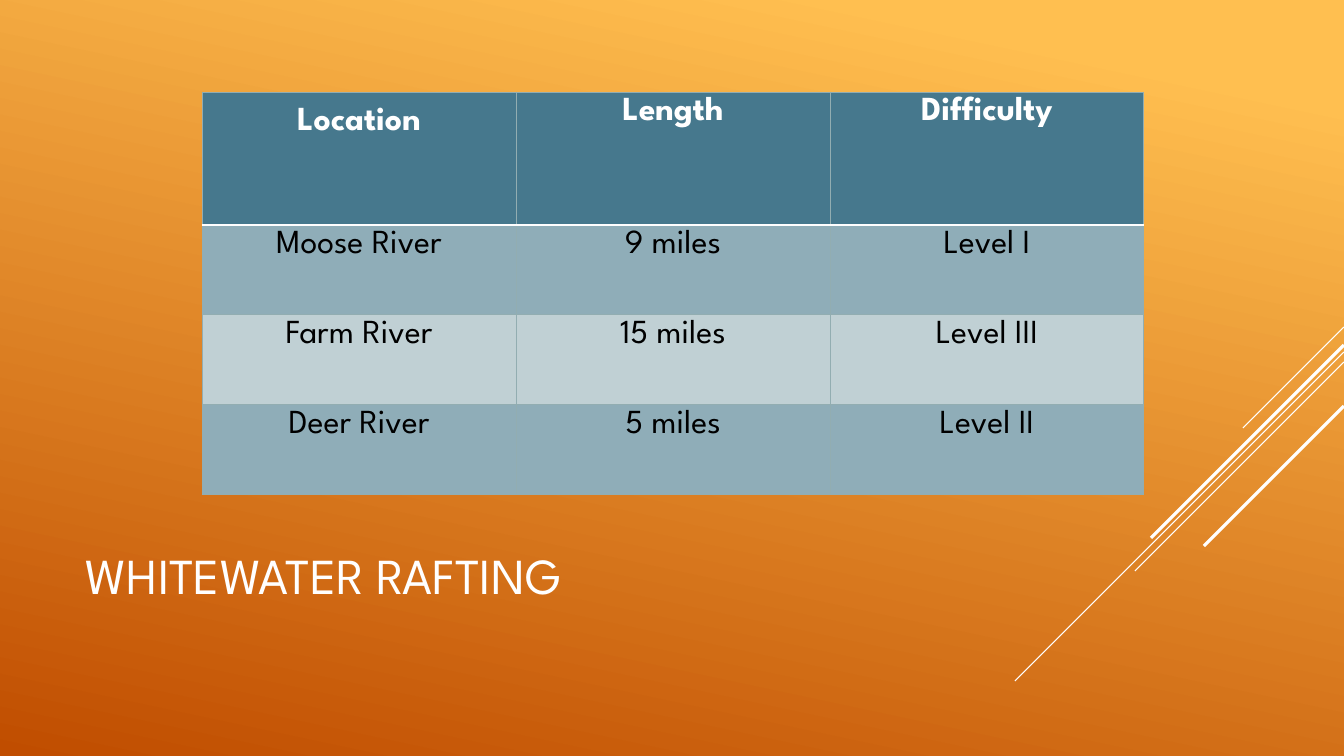
"""Build the whitewater rafting slide."""
from lxml import etree
from pptx import Presentation
from pptx.dml.color import RGBColor
from pptx.enum.shapes import MSO_CONNECTOR
from pptx.enum.text import MSO_ANCHOR as Anchor, PP_ALIGN as Align
from pptx.oxml.ns import qn
from pptx.util import Emu, Pt

TITLE = "WHITEWATER RAFTING"
TRIPS = [
    ("Location", "Length", "Difficulty"),
    ("Moose River", "9 miles", "Level I"),
    ("Farm River", "15 miles", "Level III"),
    ("Deer River", "5 miles", "Level II"),
]
DIAGONALS = [(327, 101, 0.75), (352, 329, 0.75), (362, 209, 0.75),
             (345, 193, 2.25), (406, 140, 2.25)]

FONT = "League Spartan"
WHITE = RGBColor(0xFF, 0xFF, 0xFF)
BLACK = RGBColor(0x00, 0x00, 0x00)
AMBER = RGBColor(0xFF, 0xBF, 0x50)
RUST = RGBColor(0xC0, 0x4D, 0x00)
TEAL = RGBColor(0x46, 0x78, 0x8D)
DARK_BAND = RGBColor(0x8F, 0xAD, 0xB8)
LIGHT_BAND = RGBColor(0xC0, 0xD0, 0xD4)
GRID = RGBColor(0x92, 0xAD, 0xB1)

SLIDE_WIDTH, SLIDE_HEIGHT = 1344, 756
TABLE_LEFT, TABLE_TOP = 202, 92
COLUMN_WIDTH, HEADER_HEIGHT, ROW_HEIGHT = 314, 133, 90
HEADER_INSET = 15


def px(length):
    """Turn px into EMU."""
    return Emu(round(length * 914400 / 100.8))


def style_text(para, size, color, bold=False):
    """Format every run of a paragraph."""
    for span in para.runs:
        span.font.name = FONT
        span.font.size = Pt(size)
        span.font.bold = bold
        span.font.color.rgb = color


def add_border(cell, side, color, width, opacity):
    """Draw one side of a table cell."""
    line = etree.SubElement(cell._tc.get_or_add_tcPr(), qn(f"a:ln{side}"), w=str(Pt(width)))
    fill = etree.SubElement(line, qn("a:solidFill"))
    tint = etree.SubElement(fill, qn("a:srgbClr"), val=str(color))
    etree.SubElement(tint, qn("a:alpha"), val=str(opacity * 1000))


def paint_background(slide):
    """Fill the slide with the sunset gradient."""
    fill = slide.background.fill
    fill.gradient()
    fill.gradient_angle = 360 - 102
    for stop, color, position in zip(fill.gradient_stops, (AMBER, RUST), (0.1, 1)):
        stop.color.rgb = color
        stop.position = position


def add_diagonals(slide):
    """Draw the 45 degree lines that start at the right edge."""
    for top, reach, width in DIAGONALS:
        line = slide.shapes.add_connector(
            MSO_CONNECTOR.STRAIGHT, px(SLIDE_WIDTH), px(top),
            px(SLIDE_WIDTH - reach), px(top + reach))
        line.line.color.rgb = WHITE
        line.line.width = Pt(width)
        etree.SubElement(line._element.spPr, qn("a:effectLst"))


def add_title(slide):
    """Write the slide title."""
    box = slide.shapes.add_textbox(px(76), px(495), px(940), px(166))
    frame = box.text_frame
    frame.word_wrap = True
    frame.vertical_anchor = Anchor.MIDDLE
    frame.text = TITLE
    frame.paragraphs[0].line_spacing = 0.9
    style_text(frame.paragraphs[0], 36, WHITE)


def fill_cell(cell, text, row):
    """Set the text, borders and fill of one cell."""
    header = row == 0
    cell.text = text
    para = cell.text_frame.paragraphs[0]
    para.alignment = Align.CENTER
    style_text(para, 24, WHITE if header else BLACK, header)
    rule_side = {0: "B", 1: "T"}.get(row)
    for side in "LRTB":
        border = (WHITE, 1.25, 100) if side == rule_side else (GRID, 0.75, 60)
        add_border(cell, side, *border)
    cell.fill.solid()
    cell.fill.fore_color.rgb = TEAL if header else DARK_BAND if row % 2 else LIGHT_BAND


def add_trip_table(slide):
    """Add the table of river trips."""
    heights = [HEADER_HEIGHT] + [ROW_HEIGHT] * (len(TRIPS) - 1)
    columns = len(TRIPS[0])
    table = slide.shapes.add_table(
        len(TRIPS), columns, px(TABLE_LEFT), px(TABLE_TOP),
        px(COLUMN_WIDTH * columns), px(sum(heights))).table
    for column in table.columns:
        column.width = px(COLUMN_WIDTH)
    for row, (height, texts) in enumerate(zip(heights, TRIPS)):
        table.rows[row].height = px(height)
        for column, text in enumerate(texts):
            fill_cell(table.cell(row, column), text, row)
    first = table.cell(0, 0)
    first.margin_left = first.margin_right = px(HEADER_INSET)
    first.margin_top = first.margin_bottom = px(HEADER_INSET)


def main():
    """Build and save the deck."""
    deck = Presentation()
    deck.slide_width, deck.slide_height = px(SLIDE_WIDTH), px(SLIDE_HEIGHT)
    slide = deck.slides.add_slide(deck.slide_layouts[6])
    paint_background(slide)
    add_diagonals(slide)
    add_title(slide)
    add_trip_table(slide)
    deck.save("out.pptx")


if __name__ == "__main__":
    main()
